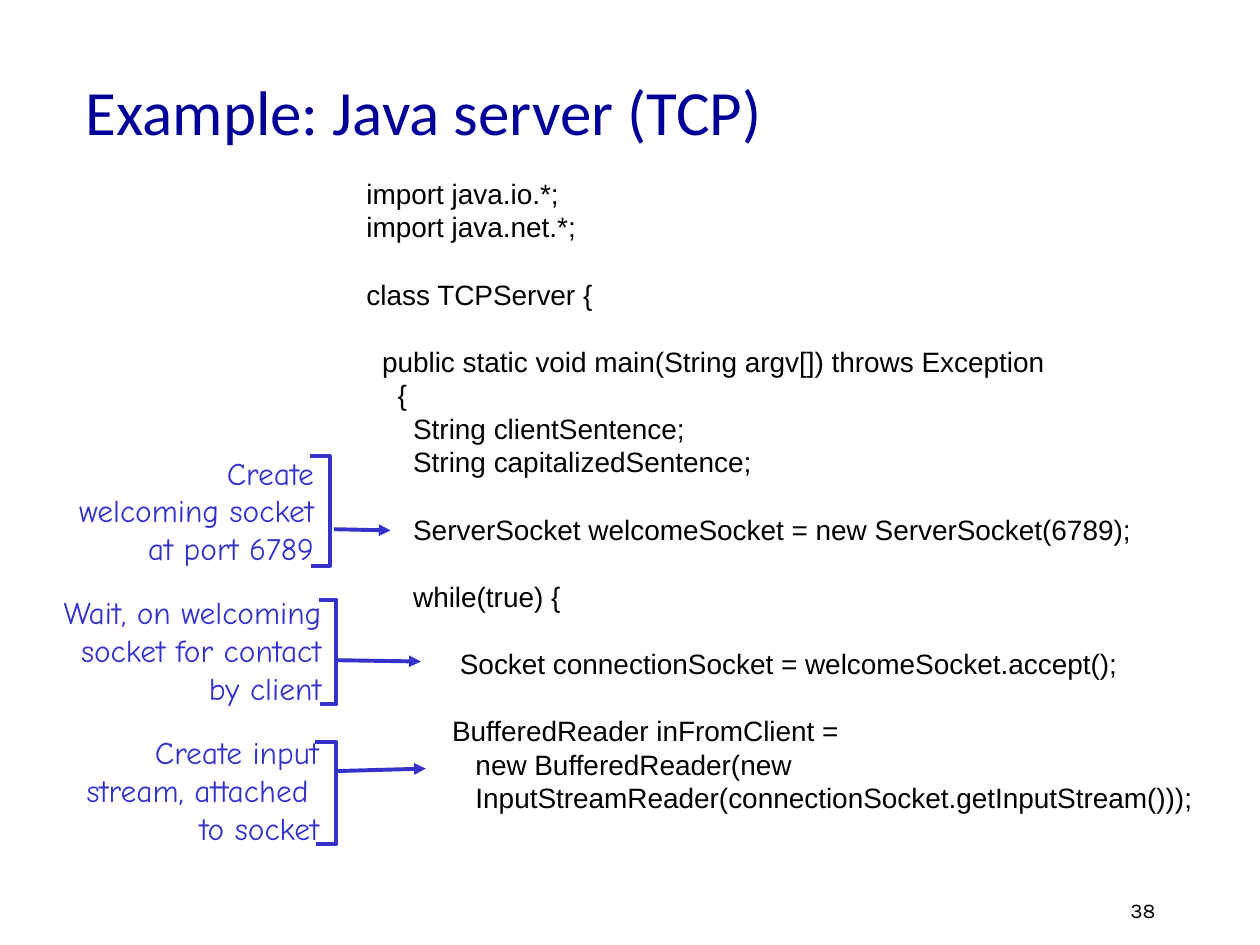
from pptx import Presentation
from pptx.dml.color import RGBColor
from pptx.enum.shapes import MSO_CONNECTOR as Connector
from pptx.enum.text import MSO_ANCHOR as Anchor, PP_ALIGN as Align
from pptx.oxml.ns import qn
from pptx.util import Inches, Pt
from lxml.etree import SubElement

NAVY = RGBColor(0x00, 0x00, 0x99)
BLUE = RGBColor(0x33, 0x33, 0xCC)
BLACK = RGBColor(0x00, 0x00, 0x00)
LEADING = 1.2
CODE_SIZE = 16
SPACE_WIDTH = 4.45

CODE = [
    (0, 0, "import java.io.*;"),
    (0, 0, "import java.net.*;"),
    (1, 0, "class TCPServer {"),
    (1, 2, "public static void main(String argv[]) throws Exception"),
    (0, 4, "{"),
    (0, 6, "String clientSentence;"),
    (0, 6, "String capitalizedSentence;"),
    (1, 6, "ServerSocket welcomeSocket = new ServerSocket(6789);"),
    (1, 6, "while(true) {"),
    (1, 12, "Socket connectionSocket = welcomeSocket.accept();"),
    (1, 11, "BufferedReader inFromClient ="),
    (0, 14, "new BufferedReader(new"),
    (0, 14, "InputStreamReader(connectionSocket.getInputStream()));"),
]

NOTES = [
    ("Create\nwelcoming socket\nat port 6789", (0.38, 3.55, 2.21, 1),
     (2.46, 3.62, 2.62, 4.49), (2.65, 4.2, 3.1, 4.21)),
    ("Wait, on welcoming\nsocket for contact\nby client", (0.23, 4.66, 2.42, 1),
     (2.53, 4.76, 2.67, 5.59), (2.68, 5.24, 3.34, 5.25)),
    ("Create input\nstream, attached \nto socket", (0.34, 5.77, 2.29, 1),
     (2.5, 5.89, 2.67, 6.7), (2.67, 6.12, 3.38, 6.1)),
]


def inches(values):
    return [Inches(value) for value in values]


class CodeSlide:
    line_color = BLUE
    line_width = Pt(2.25)

    def __init__(self, slide):
        self.slide = slide

    def style(self, frame, font, size, color, align, leading=None):
        for paragraph in frame.paragraphs:
            paragraph.alignment = align
            if leading:
                paragraph.line_spacing = Pt(size * leading)
            for run in paragraph.runs:
                run.font.name = font
                run.font.size = Pt(size)
                run.font.color.rgb = color

    def title(self, text, box):
        heading = self.slide.shapes.title
        heading.left, heading.top, heading.width, heading.height = inches(box)
        heading.text_frame.text = text
        heading.text_frame.vertical_anchor = Anchor.MIDDLE
        self.style(heading.text_frame, "Calibri", 36, NAVY, Align.LEFT)

    def text(self, text, box, font, size, color, align,
             anchor=Anchor.TOP, leading=None):
        frame = self.slide.shapes.add_textbox(*inches(box)).text_frame
        frame.word_wrap = True
        frame.vertical_anchor = anchor
        frame.text = text
        self.style(frame, font, size, color, align, leading)
        return frame

    def code(self, lines, box):
        source = "\n".join(line for _, _, line in lines)
        frame = self.text(source, box, "Arial", CODE_SIZE, BLACK, Align.LEFT,
                          leading=LEADING)
        for paragraph, (gap, spaces, _) in zip(frame.paragraphs, lines):
            paragraph.space_before = Pt(gap * CODE_SIZE * LEADING)
            properties = paragraph._p.get_or_add_pPr()
            properties.set("marL", str(Pt(spaces * SPACE_WIDTH)))
            properties.set("indent", "0")

    def stroke(self, line):
        line.color.rgb = self.line_color
        line.width = self.line_width

    def bracket(self, corners):
        left, top, right, bottom = inches(corners)
        builder = self.slide.shapes.build_freeform(left, top)
        builder.add_line_segments(
            [(right, top), (right, bottom), (left + Inches(0.01), bottom)],
            close=False)
        bracket = builder.convert_to_shape()
        bracket.shadow.inherit = False
        bracket.fill.background()
        self.stroke(bracket.line)

    def arrow(self, ends):
        arrow = self.slide.shapes.add_connector(Connector.STRAIGHT, *inches(ends))
        self.stroke(arrow.line)
        SubElement(arrow.line._get_or_add_ln(), qn("a:tailEnd"), type="triangle")
        SubElement(arrow._element.spPr, qn("a:effectLst"))

    def note(self, text, box, corners, ends):
        self.text(text, box, "Comic Neue", 18, BLUE, Align.RIGHT,
                  Anchor.MIDDLE, LEADING)
        self.bracket(corners)
        self.arrow(ends)


def main():
    deck = Presentation()
    deck.slide_width, deck.slide_height = Inches(10), Inches(7.5)
    page = CodeSlide(deck.slides.add_slide(deck.slide_layouts[5]))
    page.title("Example: Java server (TCP)", (0.58, 0.25, 8.5, 1.25))
    page.code(CODE, (2.81, 1.35, 6.85, 5.72))
    for note in NOTES:
        page.note(*note)
    page.text("38", (6.1, 7.07, 3.17, 0.31), "Karla", 12, BLACK, Align.RIGHT)
    deck.save("out.pptx")


if __name__ == "__main__":
    main()
